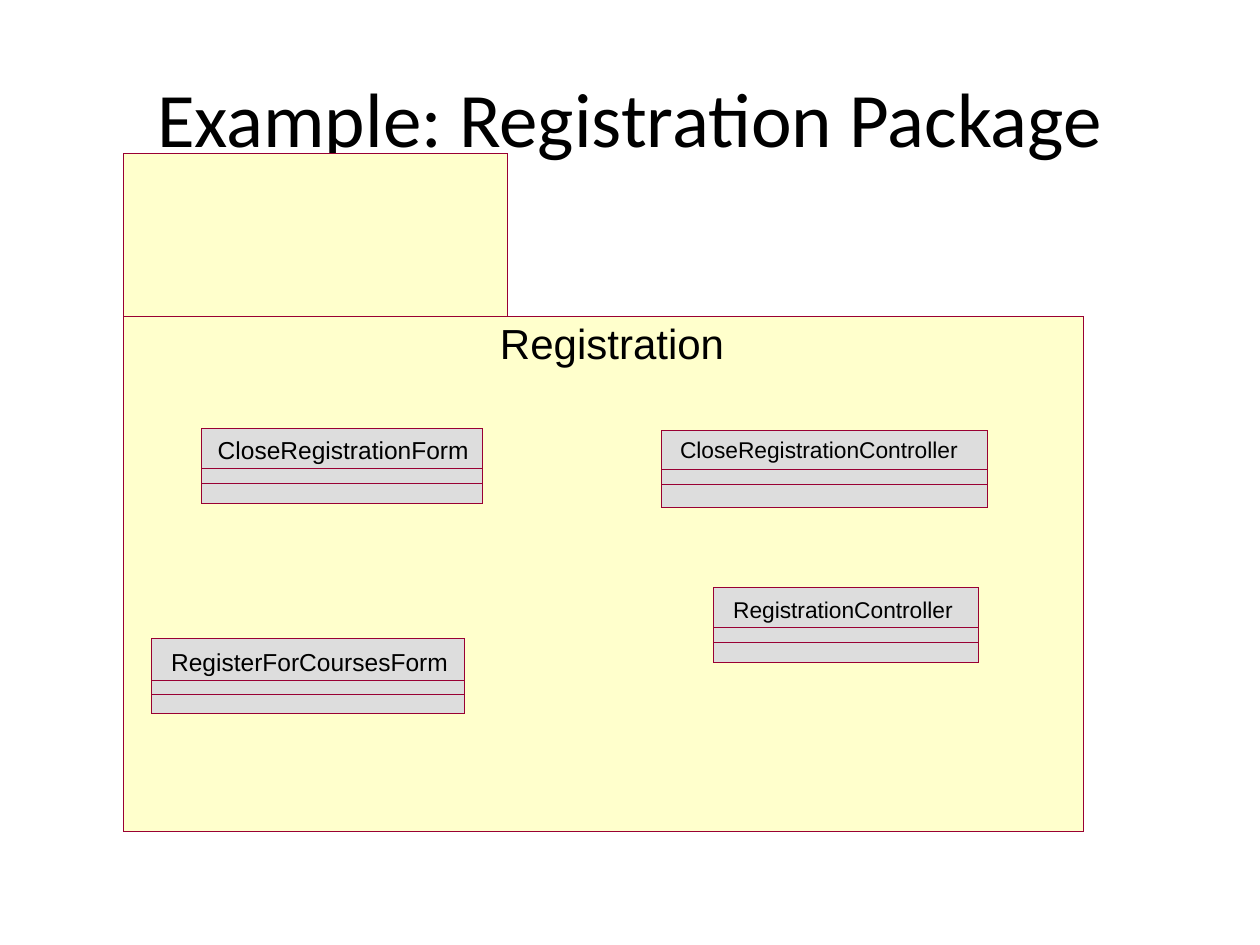
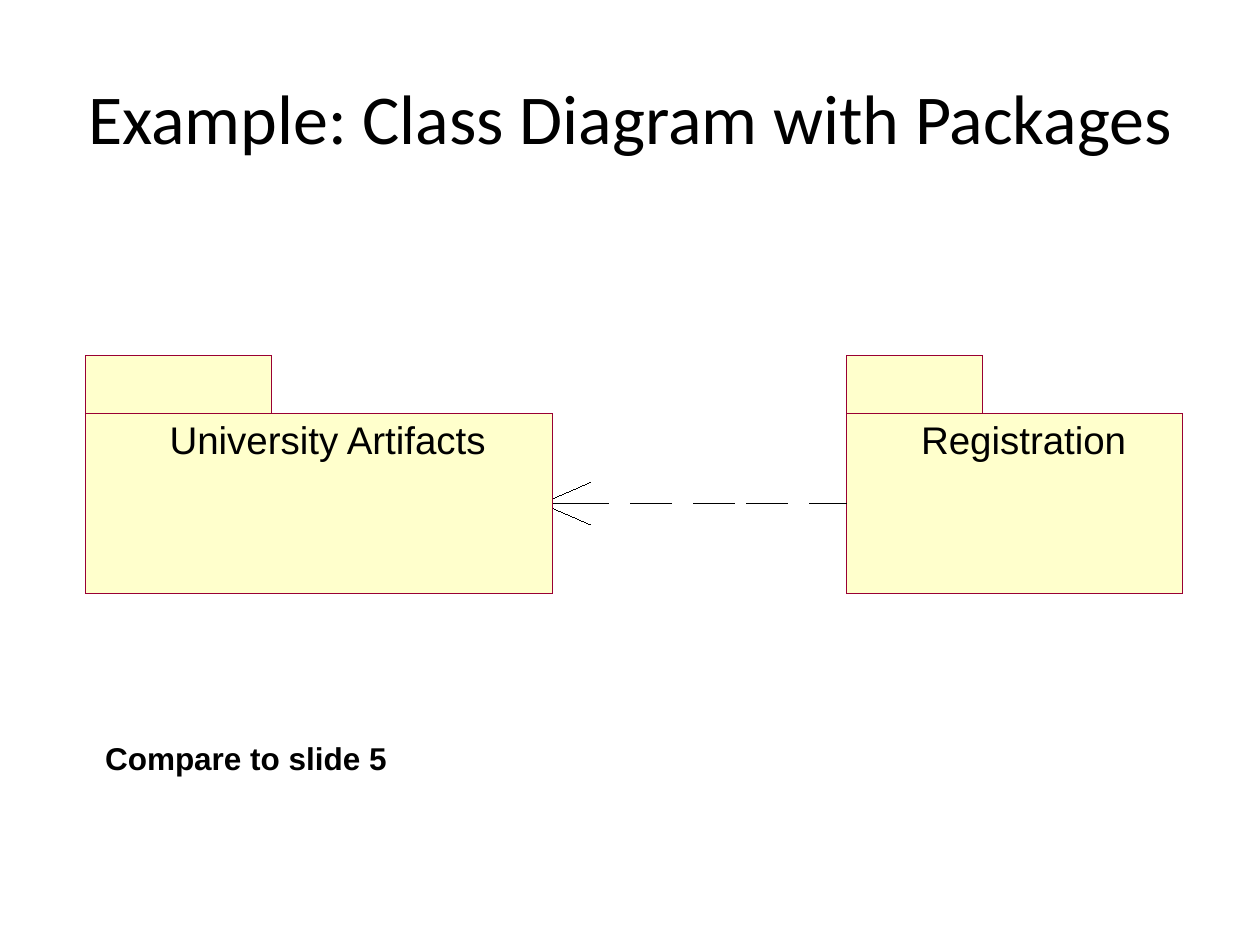
import pptx
import pptx.dml.color
import pptx.enum.shapes
import pptx.enum.text
import pptx.util
from lxml import etree
from pptx.util import Cm

BLACK = "000000"
OUTLINE = "990033"
PACKAGE_FILL = "FFFFCC"
CLASS_FILL = "DDDDDD"
TITLE_FONT = "Calibri"
DIAGRAM_FONT = "Arial"
ATTRIBUTE_HEIGHT = 0.3
HAIRLINE = pptx.util.Emu(1)
DASH_WEIGHT = pptx.util.Pt(0.75)


def color(hex_string):
    return pptx.dml.color.RGBColor.from_string(hex_string)


def add_run(paragraph, text, size, font_name, bold=False):
    run = paragraph.add_run()
    run.text = text
    run.font.size = pptx.util.Pt(size)
    run.font.name = font_name
    run.font.bold = bold
    run.font.color.rgb = color(BLACK)


def add_titled_slide(deck, heading, size):
    slide = deck.slides.add_slide(deck.slide_layouts[5])
    title = slide.shapes.title
    title.left, title.top, title.width, title.height = Cm(1.27), Cm(0.76), Cm(22.86), Cm(3.18)
    title.text_frame.vertical_anchor = pptx.enum.text.MSO_ANCHOR.MIDDLE
    paragraph = title.text_frame.paragraphs[0]
    paragraph.alignment = pptx.enum.text.PP_ALIGN.CENTER
    add_run(paragraph, heading, size, TITLE_FONT)
    return slide


def add_box(slide, left, top, width, height, fill):
    box = slide.shapes.add_shape(
        pptx.enum.shapes.MSO_SHAPE.RECTANGLE, Cm(left), Cm(top), Cm(width), Cm(height))
    box.shadow.inherit = False
    box.fill.solid()
    box.fill.fore_color.rgb = color(fill)
    box.line.color.rgb = color(OUTLINE)
    box.line.width = HAIRLINE
    return box


def add_label(slide, text, left, top, width, height, size,
              fill=None, bold=False, wrap=False, insets=(0, 0)):
    label = slide.shapes.add_textbox(Cm(left), Cm(top), Cm(width), Cm(height))
    if fill:
        label.fill.solid()
        label.fill.fore_color.rgb = color(fill)
    frame = label.text_frame
    frame.word_wrap = wrap
    frame.auto_size = pptx.enum.text.MSO_AUTO_SIZE.SHAPE_TO_FIT_TEXT
    frame.margin_left = frame.margin_right = Cm(insets[0])
    frame.margin_top = frame.margin_bottom = Cm(insets[1])
    add_run(frame.paragraphs[0], text, size, DIAGRAM_FONT, bold)


def add_package(slide, name, left, top, width, height, tab_size, label_box, label_size):
    tab_width, tab_height = tab_size
    body = add_box(slide, left, top, width, height, PACKAGE_FILL)
    add_box(slide, left, top - tab_height, tab_width, tab_height, PACKAGE_FILL)
    add_label(slide, name, *label_box, label_size)
    return body


def add_class(slide, name, left, top, width, height, name_height, name_inset, name_width, size):
    add_box(slide, left, top, width, height, CLASS_FILL)
    add_label(slide, name, left + name_inset[0], top + name_inset[1],
              name_width, 0.56, size, fill=CLASS_FILL)
    for offset in (name_height, name_height + ATTRIBUTE_HEIGHT):
        add_box(slide, left, top + offset, width, height - offset, CLASS_FILL)


def add_line(slide, start, end, weight):
    line = slide.shapes.add_connector(
        pptx.enum.shapes.MSO_CONNECTOR.STRAIGHT, *(Cm(value) for value in start + end))
    line.line.color.rgb = color(BLACK)
    line.line.width = weight
    etree.SubElement(line._element.spPr, pptx.oxml.ns.qn("a:effectLst"))
    return line


def add_dependency(slide, client, supplier, axis):
    for direction in (1, -1):
        add_line(slide, (11.15, axis + direction * 0.1),
                 (11.91, axis + direction * 0.43), HAIRLINE)
    dash_spans = [(17.15, 16.31), (15.88, 15.04), (14.81, 13.97), (13.55, 12.7), (12.27, 11.0)]
    dashes = [add_line(slide, (start, axis), (end, axis), DASH_WEIGHT)
              for start, end in dash_spans]
    dashes[0].begin_connect(client, 1)
    dashes[-1].end_connect(supplier, 3)


def build_registration_package(deck):
    slide = add_titled_slide(deck, "Example: Registration Package", 44)
    add_package(slide, "Registration", 2.49, 6.38, 19.35, 10.39,
                (7.75, 3.28), (10.08, 6.4, 4.52, 1.02), 24)
    classes = [
        ("CloseRegistrationForm", 4.06, 8.64, 5.67, 1.51, 0.8, (0.33, 0.13), 5.2, 14),
        ("CloseRegistrationController", 13.33, 8.68, 6.58, 1.55, 0.79, (0.38, 0.1), 5.7, 13),
        ("RegisterForCoursesForm", 3.06, 12.88, 6.31, 1.5, 0.83, (0.39, 0.16), 5.7, 14),
        ("RegistrationController", 14.38, 11.84, 5.35, 1.52, 0.81, (0.4, 0.17), 4.6, 13),
    ]
    for class_row in classes:
        add_class(slide, *class_row)


def build_package_diagram(deck):
    slide = add_titled_slide(deck, "Example: Class Diagram with Packages", 40)
    body_top, body_height = 8.33, 3.64
    registration = add_package(slide, "Registration", 17.07, body_top, 6.77, body_height,
                               (2.74, 1.17), (18.57, 8.38, 4.14, 0.94), 22)
    artifacts = add_package(slide, "University Artifacts", 1.72, body_top, 9.42, body_height,
                            (3.75, 1.17), (3.42, 8.38, 6.43, 0.94), 22)
    add_dependency(slide, registration, artifacts, body_top + body_height / 2)
    add_label(slide, "Compare to slide 5", 1.82, 14.74, 6.65, 1.07, 18,
              bold=True, wrap=True, insets=(0.3, 0.15))


def main():
    deck = pptx.Presentation()
    deck.slide_width, deck.slide_height = Cm(25.4), Cm(19.05)
    build_registration_package(deck)
    build_package_diagram(deck)
    deck.save("out.pptx")


if __name__ == "__main__":
    main()
